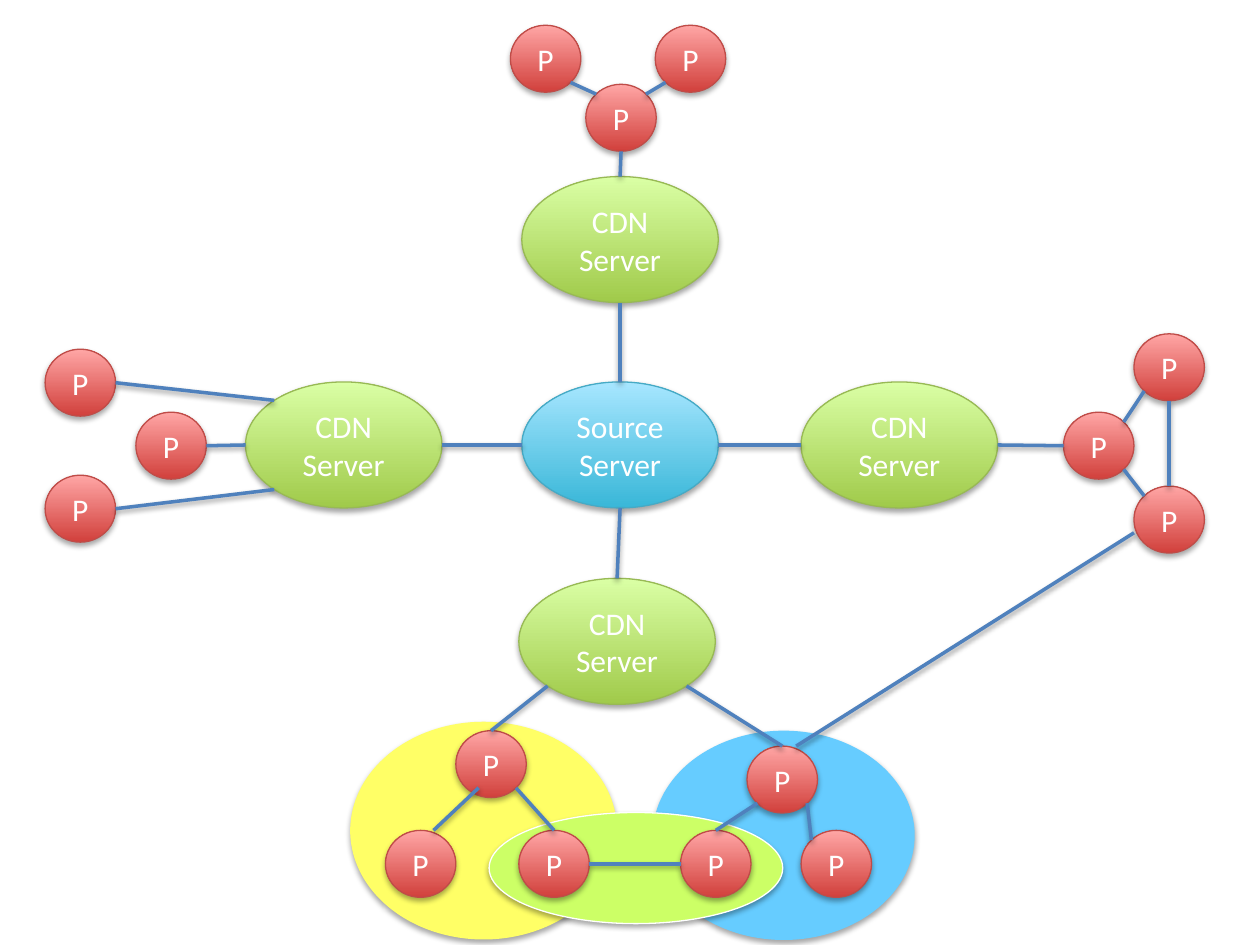
import math

import pptx
import pptx.dml.color
import pptx.enum.shapes
import pptx.enum.text
import pptx.oxml
import pptx.util

Cm = pptx.util.Cm
Pt = pptx.util.Pt

# Colours: (bottom of gradient, top of gradient, outline)
BLUE = ("39B7D8", "A7E6FF", "46AAC5")
GREEN = ("A0CA4A", "DAFFA5", "98B955")
RED = ("D1403C", "FFA6A5", "BF4C48")
SERVER_SIZE = (3.96, 2.54)
PEER_SIZE = (1.42, 1.35)

# Angles of the connection sites round an ellipse
SITES = {"E": 0, "SE": 45, "S": 90, "SW": 135, "W": 180, "NW": 225, "N": 270, "NE": 315}

SHADOW = """<a:effectLst xmlns:a="http://schemas.openxmlformats.org/drawingml/2006/main">
<a:outerShdw blurRad="40000" dist="{dist}" dir="5400000" rotWithShape="0">
<a:srgbClr val="000000"><a:alpha val="{alpha}"/></a:srgbClr></a:outerShdw></a:effectLst>"""


def rgb(hex_colour):
    return pptx.dml.color.RGBColor.from_string(hex_colour)


class Diagram:
    font = "Calibri"
    text_size = 18
    text_colour = "FFFFFF"
    link_colour = "4F81BD"

    def __init__(self, s):
        self.s = s
        self.nodes = {}

    def shadow(self, sp, dist, alpha):
        xml = SHADOW.format(dist=dist, alpha=alpha)
        sp.element.spPr.append(pptx.oxml.parse_xml(xml))

    def ellipse(self, x, y, w, h):
        oval = pptx.enum.shapes.MSO_SHAPE.OVAL
        return self.s.shapes.add_shape(oval, Cm(x), Cm(y), Cm(w), Cm(h))

    def area(self, x, y, w, h, fill, outline=None):
        sp = self.ellipse(x, y, w, h)
        sp.fill.solid()
        sp.fill.fore_color.rgb = rgb(fill)
        if outline:
            sp.line.color.rgb = rgb(outline)
            sp.line.width = Pt(0.75)
        else:
            sp.line.fill.background()
        self.shadow(sp, 23000, 35000)

    def node(self, name, text, x, y, size, colours):
        sp = self.ellipse(x, y, *size)
        bottom, top, outline = colours
        sp.fill.gradient()
        sp.fill.gradient_angle = 90
        for stop, position, colour in zip(sp.fill.gradient_stops, (0, 1), (bottom, top)):
            stop.position = position
            stop.color.rgb = rgb(colour)
        sp.line.color.rgb = rgb(outline)
        sp.line.width = Pt(0.75)
        self.shadow(sp, 23000, 35000)
        tf = sp.text_frame
        tf.word_wrap = True
        tf.vertical_anchor = pptx.enum.text.MSO_ANCHOR.MIDDLE
        p = tf.paragraphs[0]
        p.text = text
        p.alignment = pptx.enum.text.PP_ALIGN.CENTER
        p.font.name = self.font
        p.font.size = Pt(self.text_size)
        p.font.color.rgb = rgb(self.text_colour)
        self.nodes[name] = (x, y, *size)

    def point(self, end):
        """Turn (node name, site) into coordinates; leave (x, y) as it is."""
        if end[0] not in self.nodes:
            return end
        x, y, w, h = self.nodes[end[0]]
        angle = math.radians(SITES[end[1]])
        return x + w / 2 * (1 + math.cos(angle)), y + h / 2 * (1 + math.sin(angle))

    def link(self, start, end):
        straight = pptx.enum.shapes.MSO_CONNECTOR.STRAIGHT
        ends = [Cm(v) for v in (*self.point(start), *self.point(end))]
        line = self.s.shapes.add_connector(straight, *ends)
        line.line.color.rgb = rgb(self.link_colour)
        line.line.width = Pt(2)
        self.shadow(line, 20000, 38000)


def main():
    prs = pptx.Presentation()
    prs.slide_width, prs.slide_height = Cm(25.4), Cm(19.05)
    d = Diagram(prs.slides.add_slide(prs.slide_layouts[6]))

    # Peer groups below the south server
    d.area(7.06, 14.55, 5.38, 4.39, "FFFF66")
    d.area(13.16, 14.73, 5.28, 4.22, "66CCFF")
    d.area(9.86, 16.38, 5.92, 2.24, "CCFF66", "FFFFFF")

    # Servers
    d.node("source", "Source Server", 10.52, 7.7, SERVER_SIZE, BLUE)
    servers = {"north": (10.52, 3.56), "south": (10.46, 11.66),
               "east": (16.15, 7.7), "west": (4.95, 7.7)}
    for name, (x, y) in servers.items():
        d.node(name, "CDN Server", x, y, SERVER_SIZE, GREEN)

    # Peers
    peers = {
        "west top": (0.91, 7.04), "west bottom": (0.91, 9.58), "west mid": (2.74, 8.31),
        "yellow head": (9.19, 14.73), "yellow right": (10.46, 16.74),
        "yellow left": (7.77, 16.74),
        "blue head": (15.06, 15.04), "blue right": (16.15, 16.74),
        "blue left": (13.72, 16.74),
        "east top": (22.86, 6.73), "east bottom": (22.86, 9.8), "east head": (21.44, 8.31),
        "north head": (11.81, 1.7), "north right": (13.21, 0.51),
        "north left": (10.29, 0.51),
    }
    for name, (x, y) in peers.items():
        d.node(name, "P", x, y, PEER_SIZE, RED)

    # Links: each end is a node and site, or a free point
    links = [
        (("source", "N"), ("north", "S")),
        (("source", "E"), ("east", "W")),
        (("source", "S"), ("south", "N")),
        (("source", "W"), ("west", "E")),
        (("west top", "E"), ("west", "NW")),
        (("west mid", "E"), ("west", "W")),
        (("west bottom", "E"), ("west", "SW")),
        (("yellow head", "N"), ("south", "SW")),
        (("blue head", "N"), ("south", "SE")),
        ((8.74, 16.74), (9.65, 15.88)),
        (("yellow right", "N"), ("yellow head", "SE")),
        (("blue left", "N"), ("blue head", "SW")),
        (("blue right", "NW"), ("blue head", "SE")),
        (("east", "E"), ("east head", "W")),
        (("east head", "NE"), ("east top", "SW")),
        (("east head", "SE"), ("east bottom", "NW")),
        (("east top", "S"), ("east bottom", "N")),
        (("north head", "S"), ("north", "N")),
        ((16.05, 15.04), (22.86, 10.74)),
        (("north left", "SE"), ("north head", "NW")),
        (("north right", "SW"), ("north head", "NE")),
        (("yellow right", "E"), ("blue left", "W")),
    ]
    for start, end in links:
        d.link(start, end)

    prs.save("out.pptx")


if __name__ == "__main__":
    main()
